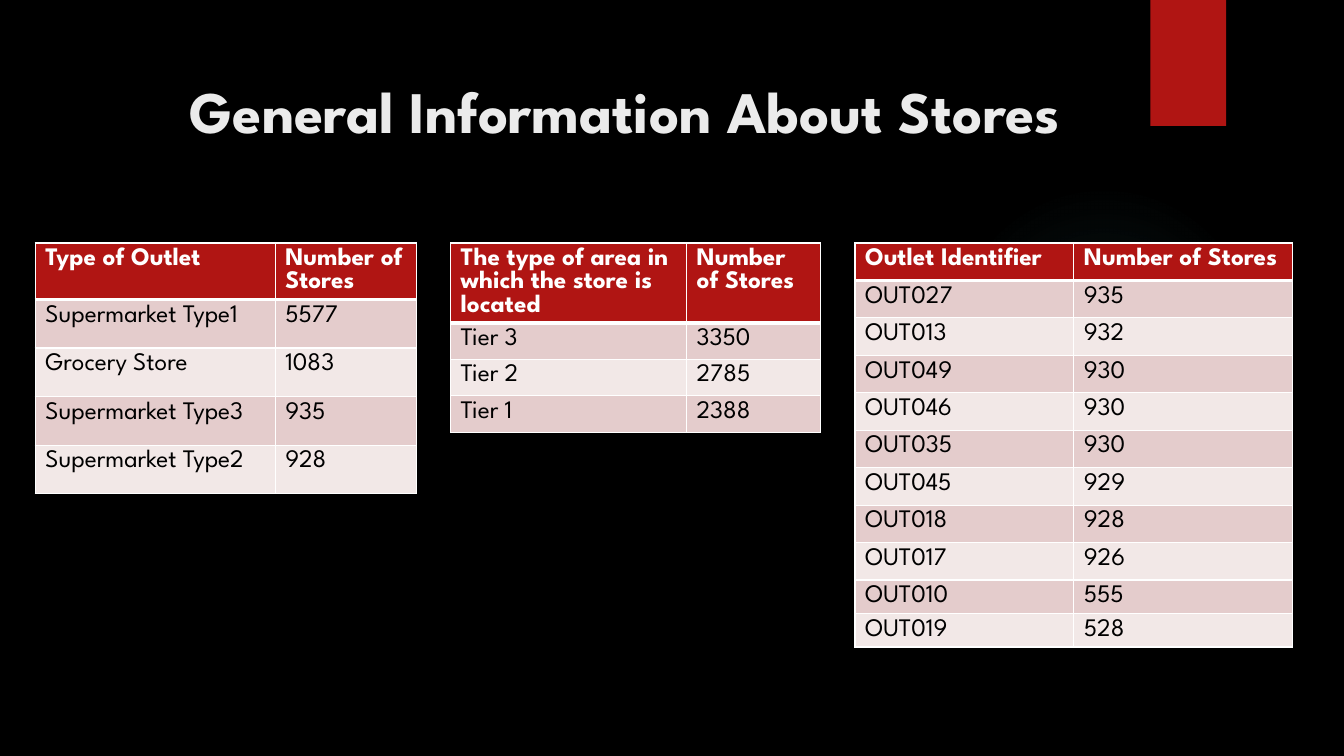
import pptx
import pptx.dml.color
import pptx.enum.shapes
import pptx.enum.text
import pptx.oxml
import pptx.oxml.ns
import pptx.util

COLORS = {
    "background": "000000", "accent": "B01513", "title": "EBEBEB",
    "header_text": "FFFFFF", "body_text": "000000", "border": "FFFFFF",
    "band_dark": "E4CCCC", "band_light": "F2E8E7", "glow": "50B9C1",
}
FONT = "League Spartan"
SLIDE_W, SLIDE_H = pptx.util.Inches(13.33), pptx.util.Inches(7.5)
TABLES_TOP = 32.13

# Positions, column widths and row heights are percentages of the slide's size.
STORE_TABLES = [
    {"left": 2.63, "columns": [17.85, 10.5], "rows": [7.47] + [6.43] * 4,
     "cells": [("Type of Outlet", "Number of Stores"),
               ("Supermarket Type1", "5577"), ("Grocery Store", "1083"),
               ("Supermarket Type3", "935"), ("Supermarket Type2", "928")]},
    {"left": 33.53, "columns": [17.55, 9.98], "rows": [10.53] + [4.83] * 3,
     "cells": [("The type of area in which the store is located", "Number of Stores"),
               ("Tier 3", "3350"), ("Tier 2", "2785"), ("Tier 1", "2388")]},
    {"left": 63.62, "columns": [16.28, 16.28], "rows": [4.96] * 9 + [4.43] * 2,
     "cells": [("Outlet Identifier", "Number of Stores"),
               ("OUT027", "935"), ("OUT013", "932"), ("OUT049", "930"),
               ("OUT046", "930"), ("OUT035", "930"), ("OUT045", "929"),
               ("OUT018", "928"), ("OUT017", "926"), ("OUT010", "555"),
               ("OUT019", "528")]},
]


def across(percent):
    return round(SLIDE_W * percent / 100)


def down(percent):
    return round(SLIDE_H * percent / 100)


def box(left, top, width, height):
    return across(left), down(top), across(width), down(height)


def rgb(name):
    return pptx.dml.color.RGBColor.from_string(COLORS[name])


def format_text(frame, size, color, bold):
    for paragraph in frame.paragraphs:
        for run in paragraph.runs:
            run.font.name = FONT
            run.font.size = pptx.util.Pt(size)
            run.font.bold = bold
            run.font.color.rgb = rgb(color)


def add_decoration(slide, kind, area):
    decoration = slide.shapes.add_shape(kind, *area)
    decoration.shadow.inherit = False
    decoration.line.fill.background()
    return decoration


def add_glow(slide, area):
    glow = add_decoration(slide, pptx.enum.shapes.MSO_SHAPE.OVAL, area)
    stops = "".join(
        f'<a:gs pos="{position * 1000}"><a:srgbClr val="{COLORS["glow"]}">'
        f'<a:alpha val="{alpha * 1000}"/></a:srgbClr></a:gs>'
        for position, alpha in [(0, 7), (36, 6), (69, 0)])
    gradient = pptx.oxml.parse_xml(
        f'<a:gradFill {pptx.oxml.ns.nsdecls("a")}><a:gsLst>{stops}</a:gsLst>'
        '<a:path path="circle"><a:fillToRect l="50000" t="50000" r="50000" b="50000"/>'
        '</a:path></a:gradFill>')
    geometry = glow.element.spPr.find(pptx.oxml.ns.qn("a:prstGeom"))
    geometry.addnext(gradient)


def add_ribbon(slide, area):
    ribbon = add_decoration(slide, pptx.enum.shapes.MSO_SHAPE.RECTANGLE, area)
    ribbon.fill.solid()
    ribbon.fill.fore_color.rgb = rgb("accent")


def place_title(slide, area):
    title = slide.shapes.title
    title.left, title.top, title.width, title.height = area
    frame = title.text_frame
    frame.text = "General Information About Stores"
    frame.word_wrap = True
    frame.vertical_anchor = pptx.enum.text.MSO_ANCHOR.MIDDLE
    frame.margin_bottom = down(7.9)
    frame.paragraphs[0].alignment = pptx.enum.text.PP_ALIGN.CENTER
    format_text(frame, 42, "title", True)


def set_borders(cell, widths):
    """Draw the sides given as {side: points}, in the order L, R, T, B."""
    properties = cell._tc.get_or_add_tcPr()
    for index, (side, points) in enumerate(widths.items()):
        properties.insert(index, pptx.oxml.parse_xml(
            f'<a:ln{side} {pptx.oxml.ns.nsdecls("a")} w="{pptx.util.Pt(points)}">'
            f'<a:solidFill><a:srgbClr val="{COLORS["border"]}"/></a:solidFill>'
            f'</a:ln{side}>'))


def format_cell(cell, row):
    is_header = row == 0
    band = "band_dark" if row % 2 else "band_light"
    cell.fill.solid()
    cell.fill.fore_color.rgb = rgb("accent" if is_header else band)
    format_text(cell.text_frame, 18,
                "header_text" if is_header else "body_text", is_header)
    set_borders(cell, {"L": 1, "R": 1, "T": 3 if row == 1 else 1,
                       "B": 3 if is_header else 1})


def add_store_table(slide, left, top, columns, rows, cells):
    area = box(left, top, sum(columns), sum(rows))
    table = slide.shapes.add_table(len(rows), len(columns), *area).table
    for column, width in zip(table.columns, columns):
        column.width = across(width)
    for row, (height, texts) in enumerate(zip(rows, cells)):
        table.rows[row].height = down(height)
        for column, text in enumerate(texts):
            cell = table.cell(row, column)
            cell.text_frame.text = text
            format_cell(cell, row)


def build_stores_slide(deck):
    slide = deck.slides.add_slide(deck.slide_layouts[5])
    slide.background.fill.solid()
    slide.background.fill.fore_color.rgb = rgb("background")
    add_glow(slide, box(70.59, 24.4, 23.11, 41.07))
    add_ribbon(slide, box(85.6, 0, 5.63, 16.67))
    place_title(slide, box(3.38, 8.53, 86.27, 19.33))
    for store_table in STORE_TABLES:
        add_store_table(slide, top=TABLES_TOP, **store_table)


def main():
    deck = pptx.Presentation()
    deck.slide_width, deck.slide_height = SLIDE_W, SLIDE_H
    build_stores_slide(deck)
    deck.save("out.pptx")


if __name__ == "__main__":
    main()
